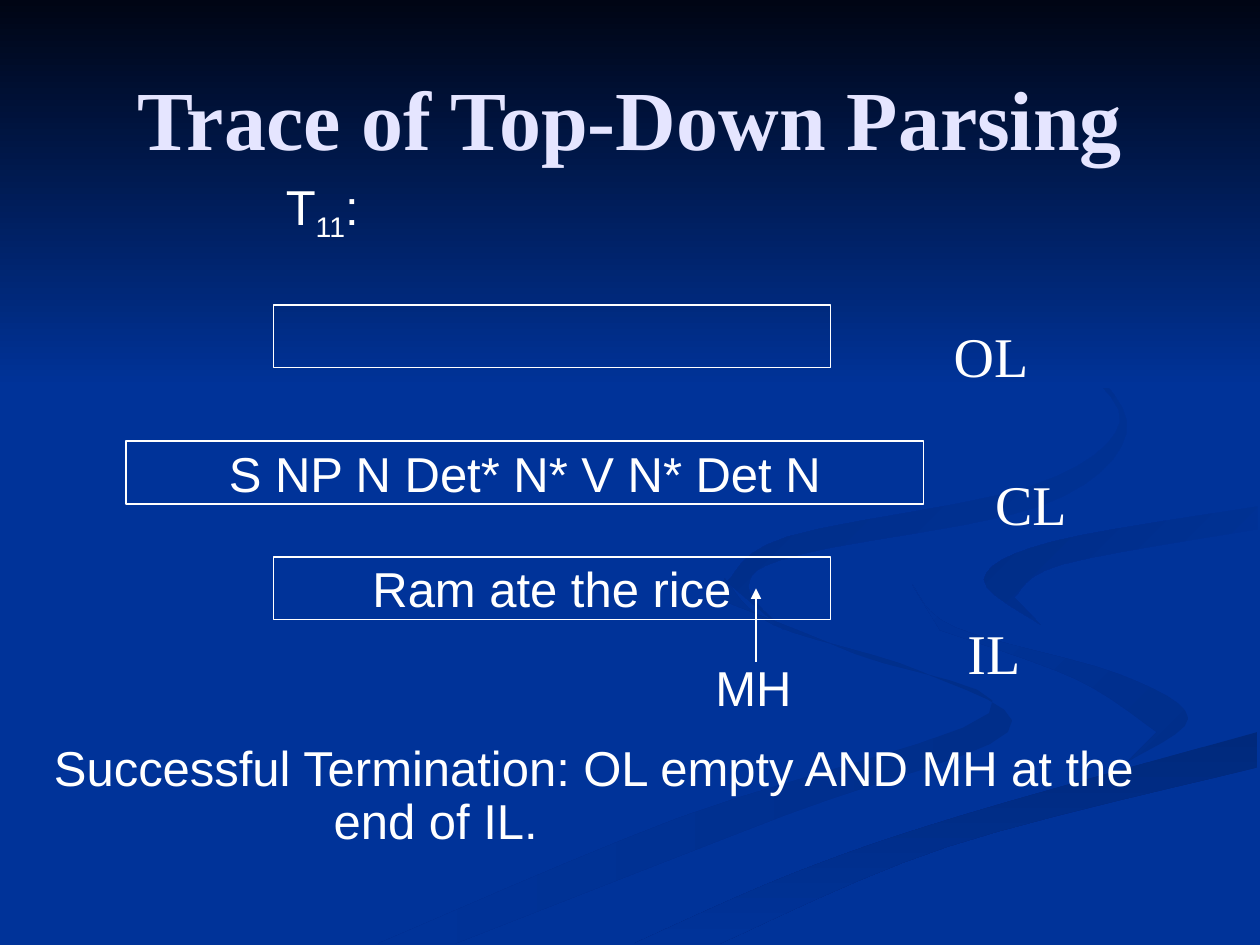
from pptx import Presentation
from pptx.dml.color import RGBColor
from pptx.enum.shapes import MSO_CONNECTOR, MSO_SHAPE
from pptx.enum.text import MSO_ANCHOR, PP_ALIGN
from pptx.oxml.ns import qn
from pptx.util import Inches, Pt
from lxml import etree

RECT, LINE = MSO_SHAPE.RECTANGLE, MSO_CONNECTOR.STRAIGHT
LEFT, MID = PP_ALIGN.LEFT, PP_ALIGN.CENTER
TOP, CORE = MSO_ANCHOR.TOP, MSO_ANCHOR.MIDDLE
SANS, SERIF = "Arial", "Times New Roman"
HUES = {"base": "003399", "night": "000514", "title": "E5E5FF", "text": "FFFFFF",
        "dim": "002E8A", "deep": "00297C", "dusk": "002C85", "shade": "002B81"}

# Content: boxes as (text, left, top, width), labels as (text, left)
TITLE = "Trace of Top-Down Parsing"
STEP = [("T", 0), ("11", -25000), (":", 0)]
BOXES = [("", 2.17, 2.42, 4.42),
         ("S NP N Det* N* V N* Det N", 1, 3.5, 6.33),
         ("Ram ate the rice", 2.17, 4.42, 4.42)]
LABELS = [("OL", 7.47), ("CL", 7.8), ("IL", 7.58)]
LABEL_TOP, LABEL_GAP = 2.5, 1.18
HEAD = "MH"
END = "Successful Termination: OL empty AND MH at the end of IL."

# Backdrop ribbons: start hue, end hue, clockwise angle, two curved edges
RIBBONS = [
    ("dim", "base", 180,
     [(5.75, 4.59), (6.14, 4.96), (7.31, 5.33), (8, 5.81), (6.23, 6.47), (3.61, 7.49)],
     [(3, 7.49), (5.39, 6.49), (7.85, 5.66), (6.79, 5.19), (5.72, 4.76)]),
    ("dim", "base", 225,
     [(7.24, 4.64), (7.58, 4.98), (8.88, 5.35), (9.43, 5.7), (8.94, 6.05)],
     [(9.18, 5.81), (8.54, 5.39), (7.46, 5)]),
    ("deep", "base", 90,
     [(5.03, 7.49), (6.3, 6.93), (7.64, 6.47), (9.98, 5.81)],
     [(9.98, 6.09), (7.52, 6.72), (5.71, 7.49)]),
    ("base", "dusk", 225,
     [(8.26, 4.96), (7.81, 4.6), (8.35, 4.3), (9.98, 4.02)],
     [(9.98, 4.2), (8.43, 4.48), (8.05, 4.74)]),
    ("base", "shade", 225,
     [(7.62, 2.33), (8.54, 2.83), (8.94, 3.44), (8.25, 4.02),
      (6.35, 4.4), (5.94, 4.65), (6.22, 5)],
     [(5.77, 4.62), (6.25, 4.26), (8.18, 3.86), (8.89, 3.35), (8.46, 2.79)]),
    ("night", "base", 90, [(0, 0), (10, 0)], [(10, 3.08), (0, 3.08)]),
]


def tint(name):
    return RGBColor.from_string(HUES[name])


def area(*dims):
    return [Inches(d) for d in dims]


def write(shape, text, size=28, font=SANS, hue="text", bold=False,
          align=LEFT, anchor=TOP, wrap=True):
    """Fill a shape with one paragraph; text is a string or (text, baseline) runs."""
    frame = shape.text_frame
    frame.word_wrap, frame.vertical_anchor = wrap, anchor
    para = frame.paragraphs[0]
    para.alignment = align
    for part, shift in [(text, 0)] if isinstance(text, str) else text:
        run = para.add_run()
        run.text = part
        run.font.size, run.font.name, run.font.bold = Pt(size), font, bold
        run.font.color.rgb = tint(hue)
        if shift:
            run.font._element.set("baseline", str(shift))
    return para


def curve(spots, steps=6):
    """Sample a smooth line (Catmull-Rom) through the spots."""
    if len(spots) == 2:
        return spots
    ring = [spots[0], *spots, spots[-1]]
    out = []
    for quad in zip(ring, ring[1:], ring[2:], ring[3:]):
        for step in range(steps):
            t = step / steps
            out.append([b + t / 2 * (c - a + t * (2 * a - 5 * b + 4 * c - d
                        + t * (3 * b - 3 * c + d - a)))
                        for a, b, c, d in zip(*quad)])
    return out + [spots[-1]]


def ribbon(start, end, angle, edge, back):
    pts = [area(*spot) for spot in curve(edge) + curve(back)]
    draft = shapes.build_freeform(*pts[0])
    draft.add_line_segments(pts[1:])
    shape = draft.convert_to_shape()
    shape.shadow.inherit = False
    shape.line.fill.background()
    shape.fill.gradient()
    shape.fill.gradient_angle = 360 - angle
    for stop, hue, spot in zip(shape.fill.gradient_stops, (start, end), (0, 1)):
        stop.color.rgb, stop.position = tint(hue), spot


deck = Presentation()
deck.slide_width, deck.slide_height = area(10, 7.5)
slide = deck.slides.add_slide(deck.slide_layouts[5])
shapes = slide.shapes

# Backdrop
slide.background.fill.solid()
slide.background.fill.fore_color.rgb = tint("base")
for item in RIBBONS:
    ribbon(*item)

# Title, raised above the backdrop
title = shapes.title
title.element.getparent().append(title.element)
title.left, title.top, title.width, title.height = area(0.5, 0.3, 9, 1.25)
write(title, TITLE, size=48, font=SERIF, hue="title", bold=True, align=MID, anchor=CORE)

# List labels
for row, (text, left) in enumerate(LABELS):
    box = shapes.add_textbox(*area(left, LABEL_TOP + row * LABEL_GAP, 1, 0.6))
    write(box, text, size=32, font=SERIF)

# List boxes
for text, left, top, width in BOXES:
    box = shapes.add_shape(RECT, *area(left, top, width, 0.5))
    box.shadow.inherit = False
    box.fill.background()
    box.line.color.rgb, box.line.width = tint("text"), Pt(0.75)
    if text:
        write(box, text, align=MID, anchor=CORE, wrap=False)

# Arrow to the end of the input
arrow = shapes.add_connector(LINE, *area(6, 5.25, 6, 4.67))
arrow.line.color.rgb, arrow.line.width = tint("text"), Pt(0.75)
props = arrow.element.spPr
etree.SubElement(props.find(qn("a:ln")), qn("a:tailEnd"), type="triangle")
etree.SubElement(props, qn("a:effectLst"))

# Step, read head and closing remark
write(shapes.add_textbox(*area(2.17, 1.35, 4.33, 0.63)), STEP)
write(shapes.add_textbox(*area(5.58, 5.17, 0.92, 0.57)), HEAD)
para = write(shapes.add_textbox(*area(0.33, 5.86, 9.42, 1.65)), END)
para.line_spacing = 0.9
hang = Inches(2.22)
para._p.get_or_add_pPr().set("marL", str(hang))
para._p.get_or_add_pPr().set("indent", str(-hang))

deck.save("out.pptx")
